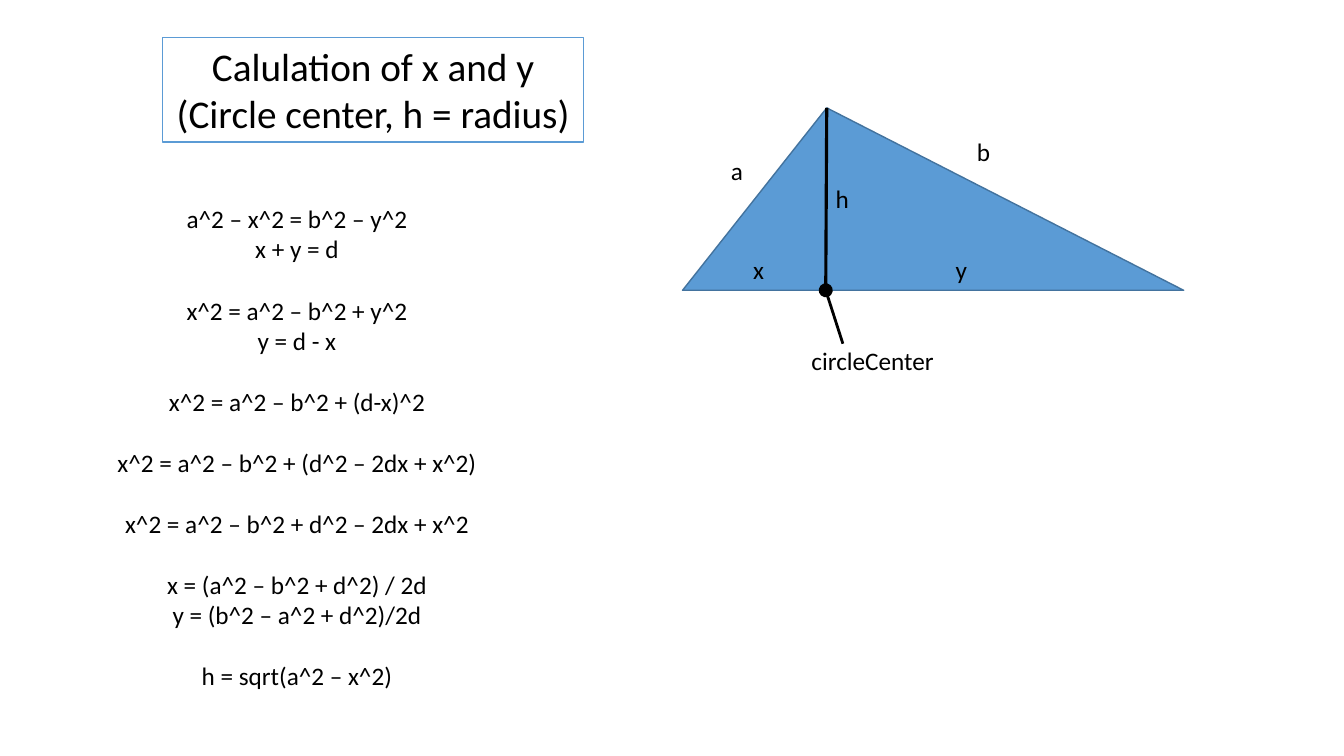
from lxml import etree
from pptx import Presentation
from pptx.dml.color import RGBColor
from pptx.enum.shapes import MSO_CONNECTOR
from pptx.enum.text import MSO_ANCHOR, PP_ALIGN
from pptx.oxml.ns import qn
from pptx.util import Inches, Pt

STRAIGHT = MSO_CONNECTOR.STRAIGHT
LEFT, CENTER = PP_ALIGN.LEFT, PP_ALIGN.CENTER
MIDDLE = MSO_ANCHOR.MIDDLE

BLACK = RGBColor(0x00, 0x00, 0x00)
WHITE = RGBColor(0xFF, 0xFF, 0xFF)
BLUE = RGBColor(0x5B, 0x9B, 0xD5)
DARK_BLUE = RGBColor(0x43, 0x73, 0x9E)
FONT = "Calibri"

TITLE = "Calulation of x and y (Circle center, h = radius)"
STEPS = [
    ["a^2 – x^2 = b^2 – y^2", "x + y = d"],
    ["x^2 = a^2 – b^2 + y^2", "y = d - x"],
    ["x^2 = a^2 – b^2 + (d-x)^2"],
    ["x^2 = a^2 – b^2 + (d^2 – 2dx + x^2)"],
    ["x^2 = a^2 – b^2 + d^2 – 2dx + x^2"],
    ["x = (a^2 – b^2 + d^2) / 2d", "y = (b^2 – a^2 + d^2)/2d"],
    ["h = sqrt(a^2 – x^2)"],
]
LABELS = [
    ("a", 0.38, 0.42, 0.32),
    ("b", 2.82, 0.23, 0.34),
    ("x", 0.6, 1.4, 0.31),
    ("y", 2.61, 1.4, 0.32),
    ("h", 1.42, 0.7, 0.34),
    ("circleCenter", 1.18, 2.31, 1.43),
]


def style_paragraph(p, size, align):
    p.alignment = align
    p.font.name = FONT
    p.font.size = Pt(size)
    p.font.color.rgb = BLACK


def add_title(slide, x, y, w, h):
    sp = slide.shapes.title
    sp.left, sp.top, sp.width, sp.height = map(Inches, (x, y, w, h))
    sp.fill.solid()
    sp.fill.fore_color.rgb = WHITE
    sp.line.color.rgb = BLUE
    sp.line.width = Pt(1)
    tf = sp.text_frame
    tf.text = TITLE
    tf.word_wrap = True
    tf.vertical_anchor = MIDDLE
    style_paragraph(tf.paragraphs[0], 28, CENTER)


def add_equations(slide, x, y, w, h):
    tf = slide.shapes.add_textbox(*map(Inches, (x, y, w, h))).text_frame
    tf.word_wrap = False
    tf.text = "\n".join(line for step in STEPS for line in step)
    starts = {step[0] for step in STEPS[1:]}
    for p in tf.paragraphs:
        style_paragraph(p, 18, CENTER)
        if p.text in starts:
            p.space_before = Pt(22)


def add_label(slide, text, x, y, w):
    tf = slide.shapes.add_textbox(*map(Inches, (x, y, w, 0.4))).text_frame
    tf.word_wrap = False
    tf.text = text
    style_paragraph(tf.paragraphs[0], 18, LEFT)


def add_line(slide, start, end, width):
    line = slide.shapes.add_connector(STRAIGHT, *map(Inches, start + end))
    line.line.color.rgb = BLACK
    line.line.width = Pt(width)
    etree.SubElement(line._element.spPr, qn("a:effectLst"))
    return line


def add_triangle(slide, x, y, w, h):
    apex = (x + 1.43, y)
    foot = (x + 1.42, y + h)
    builder = slide.shapes.build_freeform(Inches(x), Inches(y + h))
    corners = [apex, (x + w, y + h)]
    builder.add_line_segments([(Inches(cx), Inches(cy)) for cx, cy in corners])
    sp = builder.convert_to_shape()
    sp.shadow.inherit = False
    sp.fill.solid()
    sp.fill.fore_color.rgb = BLUE
    sp.line.color.rgb = DARK_BLUE
    sp.line.width = Pt(1)

    add_line(slide, apex, foot, 2.25)
    for text, dx, dy, label_w in LABELS:
        add_label(slide, text, x + dx, y + dy, label_w)
    pointer = add_line(slide, (x + 1.59, y + 2.34), foot, 2)
    etree.SubElement(pointer.line._get_or_add_ln(), qn("a:tailEnd"),
                     type="oval", w="lg", len="lg")


def main():
    prs = Presentation()
    prs.slide_width, prs.slide_height = Inches(13.33), Inches(7.5)
    slide = prs.slides.add_slide(prs.slide_layouts[5])
    add_title(slide, 1.61, 0.37, 4.18, 1.04)
    add_equations(slide, 1.04, 1.97, 3.81, 4.95)
    add_triangle(slide, 6.77, 1.07, 4.97, 1.81)
    prs.save("out.pptx")


if __name__ == "__main__":
    main()
